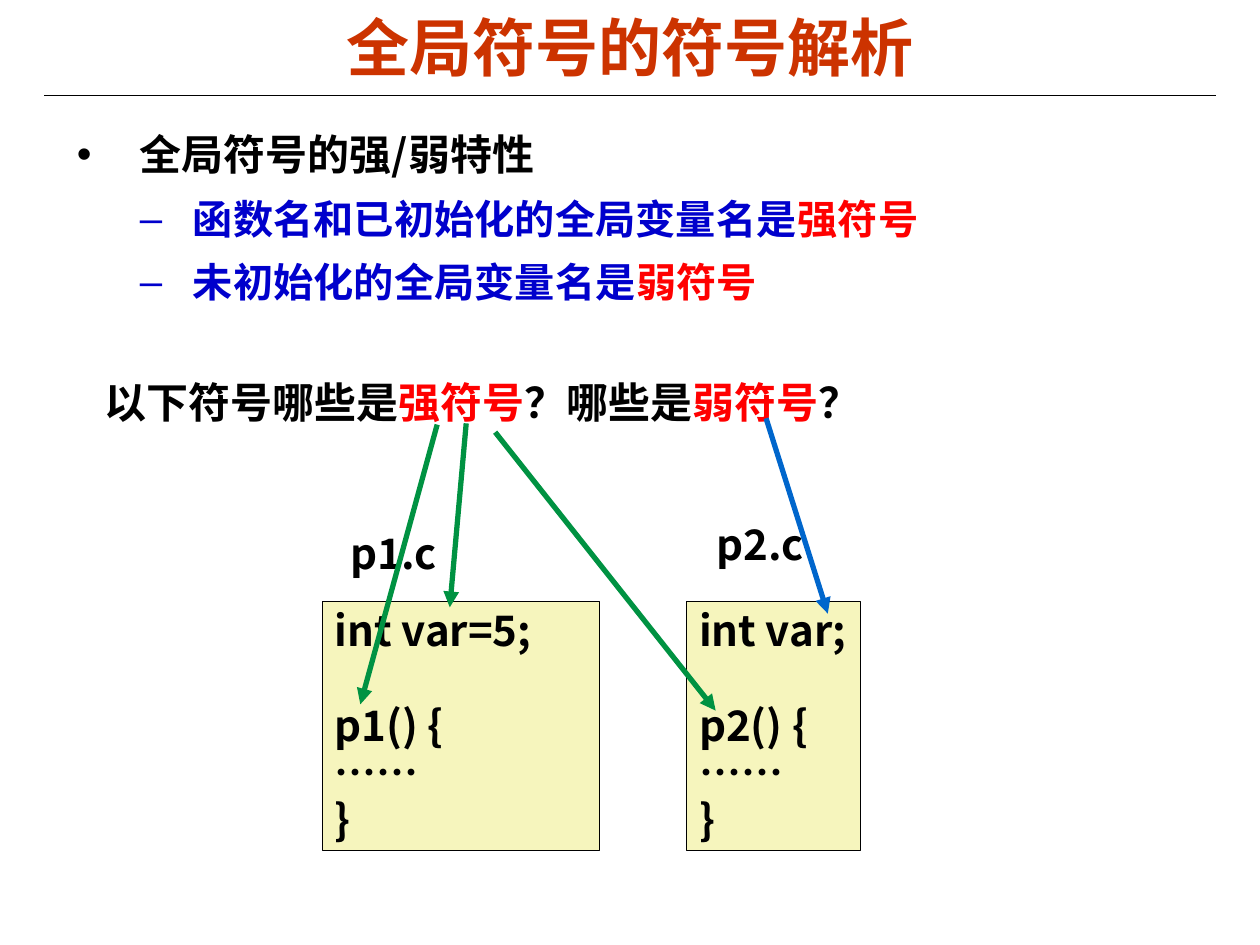
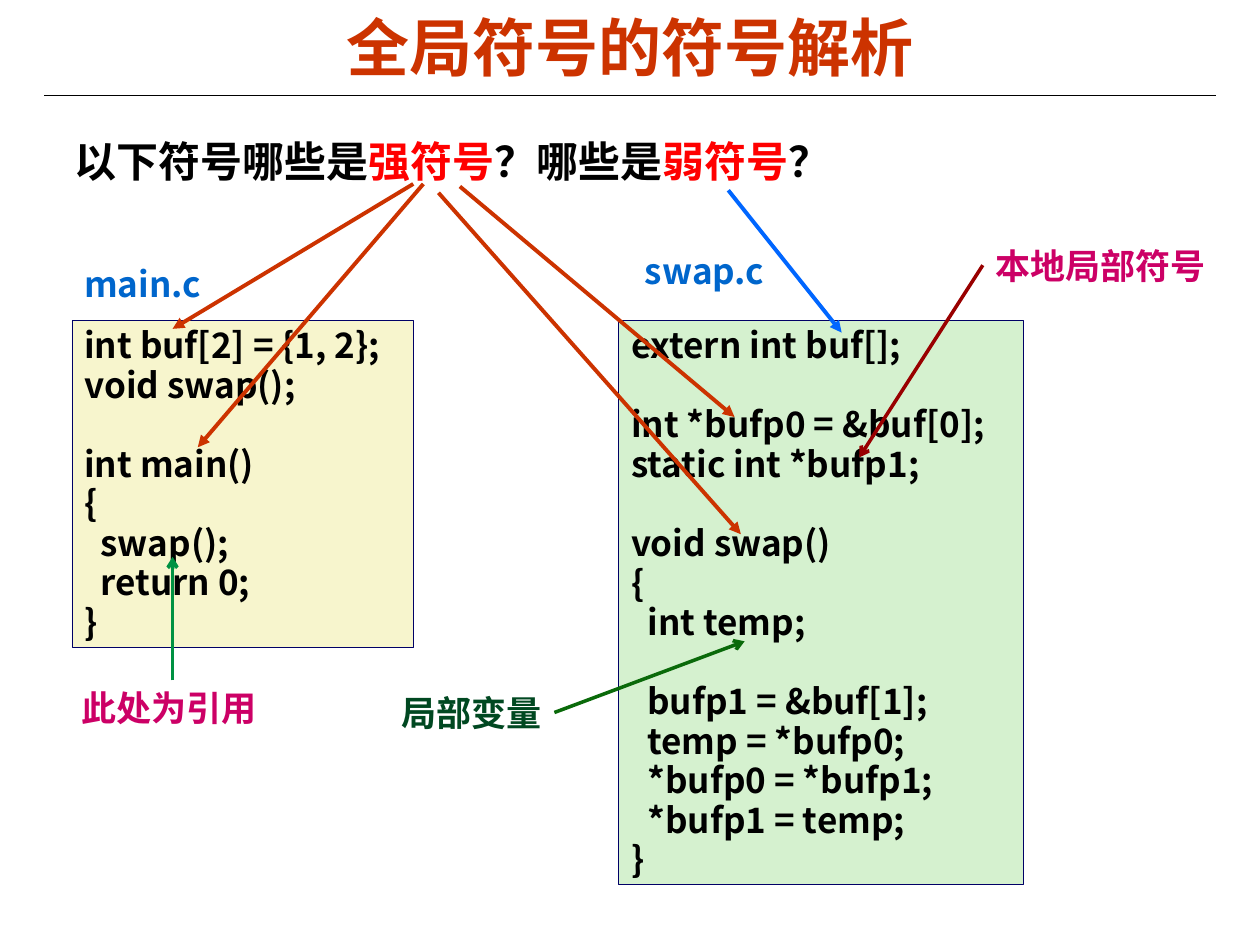
import pptx
import pptx.util
import pptx.dml.color
import pptx.enum.shapes
import pptx.enum.text
from dataclasses import dataclass
from lxml import etree

Inches, Pt = pptx.util.Inches, pptx.util.Pt
RGB = pptx.dml.color.RGBColor.from_string
RECTANGLE = pptx.enum.shapes.MSO_SHAPE.RECTANGLE
STRAIGHT = pptx.enum.shapes.MSO_CONNECTOR.STRAIGHT
AUTO_SIZE = pptx.enum.text.MSO_AUTO_SIZE
ANCHOR = pptx.enum.text.MSO_ANCHOR
ALIGN = pptx.enum.text.PP_ALIGN
DRAWING = "http://schemas.openxmlformats.org/drawingml/2006/main"


@dataclass(frozen=True)
class Theme:
    latin: str = "Arial"
    chinese: str = "Noto Sans CJK SC"
    title_size: int = 36
    text_size: int = 24
    item_size: int = 23
    small_size: int = 20
    black: str = "000000"
    title: str = "CC3300"
    red: str = "FF0000"
    item: str = "0000CC"
    file_name: str = "0066CC"
    weak_arrow: str = "0066FF"
    green: str = "009242"
    local_text: str = "004821"
    local_arrow: str = "0A6A0A"
    pink: str = "CC0066"
    dark_red: str = "990000"
    navy: str = "000066"
    yellow: str = "F6F5BD"
    cream: str = "F7F5CD"
    mint: str = "D5F1CF"


theme = Theme()


def write(para, spans, size, face=theme.chinese):
    """Add bold (text, colour) spans to a paragraph."""
    for text, colour in spans:
        span = para.add_run()
        span.text = text
        span.font.name = face
        span.font.size = Pt(size)
        span.font.bold = True
        span.font.color.rgb = RGB(colour)
        latin = span.font._element.find(f"{{{DRAWING}}}latin")
        east_asian = etree.Element(f"{{{DRAWING}}}ea", typeface=theme.chinese)
        latin.addnext(east_asian)


def draw_line(page, start, end, colour, width, head=None):
    """Draw a straight line, with an arrowhead at its end if one is named."""
    line = page.shapes.add_connector(
        STRAIGHT, *[Inches(value) for value in (*start, *end)])
    line.line.color.rgb = RGB(colour)
    line.line.width = Pt(width)
    if head:
        etree.SubElement(line.line._get_or_add_ln(), f"{{{DRAWING}}}tailEnd", type=head)
    etree.SubElement(line._element.spPr, f"{{{DRAWING}}}effectLst")
    return line


deck = pptx.Presentation()
deck.slide_width, deck.slide_height = Inches(10), Inches(7.5)
rule_page = deck.slides.add_slide(deck.slide_layouts[1])
example_page = deck.slides.add_slide(deck.slide_layouts[5])

# Title, rule and question on both slides
question = [("以下符号哪些是", theme.black), ("强符号", theme.red),
            ("？哪些是", theme.black), ("弱符号", theme.red), ("？", theme.black)]
for page, left, top in [(rule_page, 0.73, 2.94), (example_page, 0.49, 1.03)]:
    draw_line(page, (0.35, 0.76), (9.65, 0.76), theme.black, 0.75)
    title = page.shapes.title
    title.left, title.top = Inches(0.5), Inches(0.06)
    title.width, title.height = Inches(9), Inches(0.61)
    title.text_frame.auto_size = AUTO_SIZE.NONE
    title.text_frame.vertical_anchor = ANCHOR.MIDDLE
    para = title.text_frame.paragraphs[0]
    para.alignment = ALIGN.CENTER
    write(para, [("全局符号的符号解析", theme.title)], theme.title_size, theme.latin)

    box = page.shapes.add_textbox(Inches(left), Inches(top), Inches(6.97), Inches(0.5))
    box.text_frame.word_wrap = True
    box.text_frame.auto_size = AUTO_SIZE.SHAPE_TO_FIT_TEXT
    write(box.text_frame.paragraphs[0], question, theme.text_size, theme.latin)

# Strong and weak symbol rules
body = rule_page.placeholders[1]
body.left, body.top = Inches(0.51), Inches(0.91)
body.width, body.height = Inches(9), Inches(5.71)
body.text_frame.auto_size = AUTO_SIZE.NONE
rules = [
    (0, theme.text_size, theme.chinese, [("全局符号的强/弱特性", theme.black)]),
    (1, theme.item_size, theme.latin,
     [("函数名和已初始化的全局变量名是", theme.item), ("强符号", theme.red)]),
    (1, theme.item_size, theme.latin,
     [("未初始化的全局变量名是", theme.item), ("弱符号", theme.red)]),
]
for number, (level, size, face, spans) in enumerate(rules):
    para = body.text_frame.add_paragraph() if number else body.text_frame.paragraphs[0]
    para.level = level
    para.line_spacing = Pt(round(size * 1.38, 1))
    para.space_before = Pt(round(size * 0.2, 1))
    margin, hanging = [(0.5, -0.5), (0.92, -0.42)][level]
    properties = para._p.get_or_add_pPr()
    properties.set("marL", str(Inches(margin)))
    properties.set("indent", str(Inches(hanging)))
    write(para, spans, size, face)

# Code listings: an empty line becomes space before, leading spaces an indent
main_code = """int buf[2] = {1, 2};
void swap();

int main()
{
  swap();
  return 0;
}"""
swap_code = """extern int buf[];

int *bufp0 = &buf[0];
static int *bufp1;

void swap()
{
  int temp;

  bufp1 = &buf[1];
  temp = *bufp0;
  *bufp0 = *bufp1;
  *bufp1 = temp;
}"""
p1_code = "int var=5;\n\np1() {\n……\n}"
p2_code = "int var;\n\np2() {\n……\n}"
big, small = theme.text_size, theme.small_size
listings = [
    (rule_page, (2.56, 4.77, 2.2, 1.98), theme.yellow, theme.black, big, p1_code),
    (rule_page, (5.45, 4.77, 1.38, 1.98), theme.yellow, theme.black, big, p2_code),
    (example_page, (0.57, 2.54, 2.71, 2.6), theme.cream, theme.navy, small, main_code),
    (example_page, (4.91, 2.54, 3.21, 4.48), theme.mint, theme.navy, small, swap_code),
]
for page, place, fill, outline, size, code in listings:
    box = page.shapes.add_shape(RECTANGLE, *map(Inches, place))
    box.shadow.inherit = False
    box.fill.solid()
    box.fill.fore_color.rgb = RGB(fill)
    box.line.color.rgb = RGB(outline)
    box.line.width = Pt(0.25)
    frame = box.text_frame
    frame.word_wrap = True
    frame.margin_right = 0
    frame.vertical_anchor = ANCHOR.TOP
    pitch = Pt(round(size * 1.128, 1))
    para, gap = frame.paragraphs[0], 0
    for number, code_line in enumerate(code.split("\n")):
        if not code_line:
            gap = pitch
            continue
        if number:
            para = frame.add_paragraph()
        para.alignment = ALIGN.LEFT
        para.line_spacing = pitch
        para.space_before = gap
        if code_line.startswith(" "):
            para._p.get_or_add_pPr().set("marL", str(Inches(0.13)))
        write(para, [(code_line.strip(), theme.black)], size)
        gap = 0

# File names above the listings
file_names = [
    (rule_page, (2.68, 4.16, 0.9, 0.48), "p1.c", theme.black, big),
    (rule_page, (5.59, 4.09, 0.9, 0.48), "p2.c", theme.black, big),
    (example_page, (0.57, 2.05, 1.29, 0.41), "main.c", theme.file_name, small),
    (example_page, (5.02, 1.95, 1.46, 0.41), "swap.c", theme.file_name, small),
]
for page, place, name, colour, size in file_names:
    box = page.shapes.add_textbox(*map(Inches, place))
    box.text_frame.word_wrap = True
    box.text_frame.margin_right = 0
    para = box.text_frame.paragraphs[0]
    para.line_spacing = Pt(round(size * 1.128, 1))
    write(para, [(name, colour)], size)

# Remarks, each joined to its arrow at a connection site
remarks = [
    ((0.55, 5.4, 1.64, 0.43), "此处为引用", theme.pink, 0, (1.37, 4.42), theme.green),
    ((7.8, 1.89, 1.92, 0.43), "本地局部符号", theme.pink, 1, (6.82, 3.63), theme.dark_red),
    ((3.09, 5.44, 1.31, 0.43), "局部变量", theme.local_text, 3, (5.91, 5.09),
     theme.local_arrow),
]
for place, text, colour, site, target, arrow_colour in remarks:
    box = example_page.shapes.add_textbox(*map(Inches, place))
    box.text_frame.word_wrap = True
    box.text_frame.margin_right = 0
    box.text_frame.auto_size = AUTO_SIZE.SHAPE_TO_FIT_TEXT
    write(box.text_frame.paragraphs[0], [(text, colour)], small)
    arrow = draw_line(example_page, place[:2], target, arrow_colour, 2, "arrow")
    arrow.begin_connect(box, site)

# Arrows from the question to the symbols
answers = [
    (rule_page, theme.green, 3, [((3.7, 3.36), (3.57, 4.82)),
                                 ((3.47, 3.37), (2.86, 5.59)),
                                 ((3.93, 3.43), (5.68, 5.64))]),
    (rule_page, theme.file_name, 3, [((6.08, 3.32), (6.57, 4.87))]),
    (example_page, theme.title, 2.25, [((3.36, 1.46), (1.57, 3.55)),
                                       ((3.28, 1.46), (1.37, 2.61)),
                                       ((3.65, 1.48), (5.83, 3.31)),
                                       ((3.48, 1.53), (5.88, 4.24))]),
    (example_page, theme.weak_arrow, 2.25, [((5.78, 1.51), (6.68, 2.64))]),
]
for page, colour, width, arrows in answers:
    for start, end in arrows:
        draw_line(page, start, end, colour, width, "triangle")

deck.save("out.pptx")
